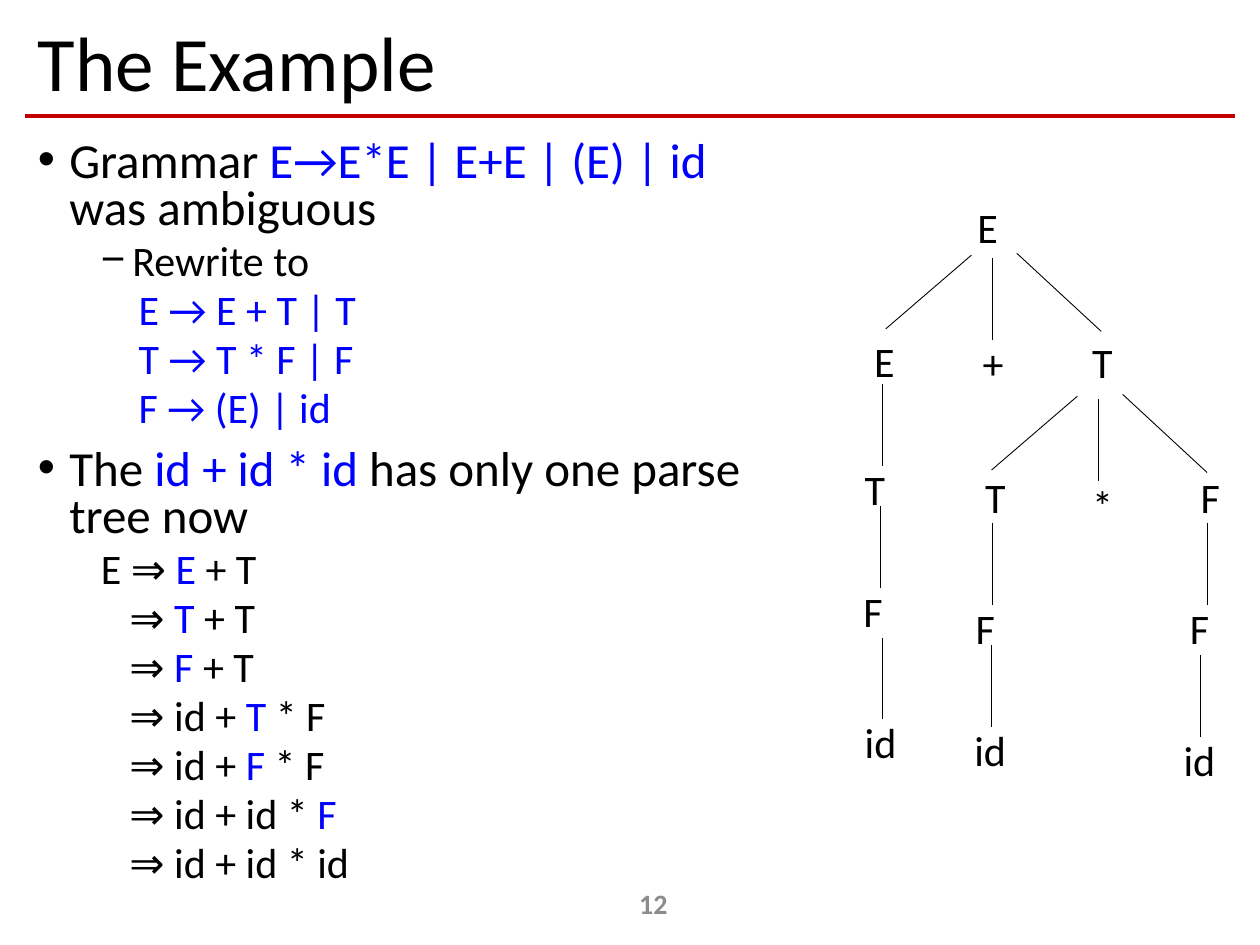
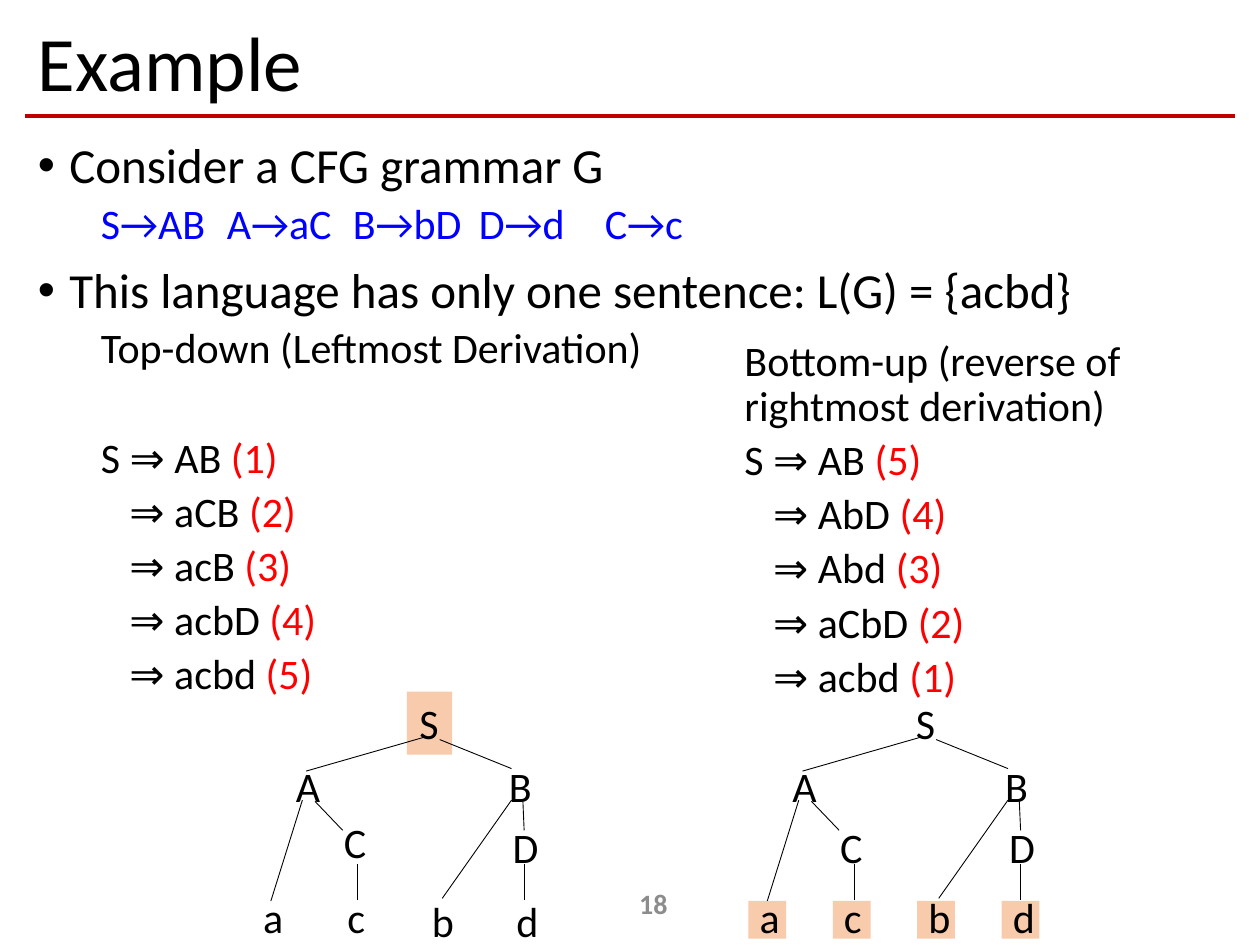
from dataclasses import dataclass

from lxml.etree import SubElement
from pptx import Presentation
from pptx.dml.color import RGBColor
from pptx.enum.shapes import MSO_CONNECTOR, MSO_SHAPE
from pptx.enum.text import MSO_ANCHOR, MSO_AUTO_SIZE, PP_ALIGN
from pptx.oxml.ns import qn
from pptx.util import Inches, Pt


@dataclass(frozen=True)
class Theme:
    """Colours, font and type sizes shared by the slides."""
    font: str = "Calibri"
    ink: str = "000000"
    rule: str = "C00000"
    blue: str = "0000FF"
    red: str = "FF0000"
    grey: str = "8C8C8C"
    peach: str = "F8CBAD"
    title: int = 44
    text: int = 28
    sub: int = 24
    number: int = 16


@dataclass(frozen=True)
class Style:
    """Paragraph style; indents are in grid cells."""
    level: int = 1
    left: float = 5
    first: float = 0
    size: int = Theme.sub
    before: float = 5
    bullet: str = ""
    tabs: tuple = ()


T = Theme()
COLS, ROWS = 100, 75          # grid of square cells
CELL = Inches(10) / COLS

POINT = Style(0, 2.5, -2.5, T.text, 10, "•")
DASH = Style(left=7.5, first=-2.5, bullet="−")
SUB = Style()
RULE = Style(left=8)
STEP = Style(left=7.27)       # lines up with the arrow of the line above
APART = Style(before=37)
TABBED = Style(left=0, first=5, tabs=(15, 35, 55, 75))

NODE_WIDTH = dict(E=3.7, T=3.7, F=3.6, id=4.6, S=3.6, A=4, B=4, C=3.8, D=4.1,
                  a=3.6, b=3.8, c=3.4, d=3.8)
NODE_HEIGHT = 5


def grid(*cells):
    """Turn grid cells into slide lengths."""
    return [round(n * CELL) for n in cells]


def rgb(code):
    """Make a colour from its hex code."""
    return RGBColor.from_string(code)


def style_run(r, size, color=T.ink, bold=False):
    """Set the font of one run."""
    r.font.name, r.font.size, r.font.bold = T.font, Pt(size), bold
    r.font.color.rgb = rgb(color)


def move(shape, *box):
    """Put a shape at left, top, width, height in grid cells."""
    shape.left, shape.top, shape.width, shape.height = grid(*box)


def style_paragraph(p, style, spacing):
    """Apply level, spacing, indents, bullet and tab stops."""
    p.level, p.line_spacing, p.space_before = style.level, spacing, Pt(style.before)
    p.space_after = Pt(0)
    p.alignment = PP_ALIGN.LEFT
    pPr = p._p.get_or_add_pPr()
    left, first = grid(style.left, style.first)
    pPr.set("marL", str(left))
    pPr.set("indent", str(first))
    if style.bullet:
        SubElement(pPr, qn("a:buFont"), typeface="Arial")
        SubElement(pPr, qn("a:buChar"), char=style.bullet)
    else:
        SubElement(pPr, qn("a:buNone"))
    if style.tabs:
        tab_list = SubElement(pPr, qn("a:tabLst"))
        for stop in grid(*style.tabs):
            SubElement(tab_list, qn("a:tab"), pos=str(stop), algn="l")


def fill_text(tf, lines, accent, spacing):
    """Write lines of (style, parts); every second part has the accent colour."""
    tf.word_wrap, tf.auto_size = True, MSO_AUTO_SIZE.NONE
    tf.vertical_anchor = MSO_ANCHOR.TOP
    for i, (style, *parts) in enumerate(lines):
        p = tf.add_paragraph() if i else tf.paragraphs[0]
        style_paragraph(p, style, spacing)
        for j, part in enumerate(parts):
            if part:
                r = p.add_run()
                r.text = part
                style_run(r, style.size, accent if j % 2 else T.ink)


def line(s, x1, y1, x2, y2, color=T.ink, width=0.5):
    """Draw a straight line between two grid points."""
    c = s.shapes.add_connector(MSO_CONNECTOR.STRAIGHT, *grid(x1, y1, x2, y2))
    c.line.color.rgb, c.line.width = rgb(color), Pt(width)
    SubElement(c._element.spPr, qn("a:effectLst"))


def block(s, x, y, w, h):
    """Draw a plain highlight."""
    sp = s.shapes.add_shape(MSO_SHAPE.RECTANGLE, *grid(x, y, w, h))
    sp.shadow.inherit = False
    sp.fill.solid()
    sp.fill.fore_color.rgb = rgb(T.peach)
    sp.line.fill.background()


def node(s, label, x, y, marked=False):
    """Write the label of a tree node."""
    sp = s.shapes.add_textbox(*grid(x, y, NODE_WIDTH.get(label, 3.7), NODE_HEIGHT))
    if marked:
        sp.fill.solid()
        sp.fill.fore_color.rgb = rgb(T.peach)
    tf = sp.text_frame
    tf.text = label
    tf.word_wrap, tf.auto_size = False, MSO_AUTO_SIZE.SHAPE_TO_FIT_TEXT
    style_run(tf.paragraphs[0].runs[0], T.sub)


def fan(s, x, y):
    """Draw three branches around the middle branch, which starts at x, y."""
    line(s, x - 1.7, y - 0.25, x - 8.5, y + 5.6)
    line(s, x + 1.9, y - 0.4, x + 8.6, y + 5.8)
    line(s, x, y, x, y + 6.5)


def link(s, label, x, y):
    """Draw one downward branch with its child."""
    line(s, x, y, x, y + 6.5)
    node(s, label, x - 2.35, y + 5.8)


def base_slide(prs, title, number, body_box):
    """Add a slide with title, rule and number; return it and its body text."""
    s = prs.slides.add_slide(prs.slide_layouts[1])
    line(s, 2, 9.2, COLS - 2, 9.2, T.rule, 2.5)
    head, body = s.shapes.title, s.placeholders[1]
    move(head, 2, 1.3, 96.1, 7.9)
    tf = head.text_frame
    tf.text = title
    tf.vertical_anchor, tf.auto_size = MSO_ANCHOR.MIDDLE, MSO_AUTO_SIZE.NONE
    p = tf.paragraphs[0]
    p.alignment, p.line_spacing = PP_ALIGN.LEFT, 0.9
    style_run(p.runs[0], T.title)
    move(body, *body_box)
    tf = s.shapes.add_textbox(*grid(40.6, 69.7, 22.5, 4)).text_frame
    tf.text = number
    tf.word_wrap, tf.vertical_anchor = True, MSO_ANCHOR.MIDDLE
    tf.paragraphs[0].alignment = PP_ALIGN.CENTER
    style_run(tf.paragraphs[0].runs[0], T.number, T.grey, True)
    return s, body.text_frame


def parse_tree_slide(prs):
    """Build the slide on the rewritten grammar and its parse tree."""
    s, tf = base_slide(prs, "The Example", "12", (2, 10.7, 60.1, 63))
    fill_text(tf, [
        (POINT, "Grammar ", "E→E*E | E+E | (E) | id ", "was ambiguous"),
        (DASH, "Rewrite to"),
        (RULE, "", "E → E + T | T"),
        (RULE, "", "T → T * F | F"),
        (RULE, "", "F → (E) | id"),
        (POINT, "The ", "id + id * id ", "has only one parse tree now"),
        (SUB, "E ⇒ ", "E", " + T"),
        (STEP, "⇒ ", "T", " + T"),
        (STEP, "⇒ ", "F", " + T"),
        (STEP, "⇒ id + ", "T", " * F"),
        (STEP, "⇒ id + ", "F", " * F"),
        (STEP, "⇒ id + id * ", "F"),
        (STEP, "⇒ id + id * id"),
    ], T.blue, 0.8)
    for label, x, y in (("E", 76.6, 15.5), ("E", 68.4, 26.1), ("+", 77, 26.3),
                        ("T", 85.7, 26.2), ("T", 77.2, 36.9), ("*", 85.7, 37.6),
                        ("F", 94.3, 36.9)):
        node(s, label, x, y)
    fan(s, 78.8, 20.5)
    fan(s, 87.2, 31.7)
    for label, x, y in (("T", 70, 30.5), ("F", 69.9, 40.2), ("id", 70, 50.6),
                        ("F", 78.8, 41.5), ("id", 78.7, 51.2),
                        ("F", 95.8, 41.5), ("id", 95.3, 52)):
        link(s, label, x, y)


def derivation_tree(s, x, marked, lowered):
    """Draw the tree of acbd from x; lowered holds tops that differ."""
    leaves = [(label, 6.7 * i, 70.3) for i, label in enumerate("acbd")]
    if "a" in marked:
        for _, dx, _ in leaves:
            block(s, x + dx + 0.1, 71.5, 3, 3)
    inner = [("C", 6.4, 64.7), ("D", 19.8, 64.7), ("A", 2.6, 59.9),
             ("B", 19.5, 59.9), ("S", 12.4, 54.9)]
    for label, dx, y in leaves + inner:
        node(s, label, x + dx, lowered.get(label, y), label == "S" and "S" in marked)
    for x1, y1, x2, y2 in ((13.8, 58.5, 4.4, 61.2), (15, 58.7, 20.7, 61),
                           (5.1, 63.6, 7.3, 65.9), (4.1, 63.5, 1.6, 71.5),
                           (20.7, 63.5, 15.2, 71.3), (21.6, 63.6, 21.7, 65.9),
                           (8.5, 68.6, 8.5, 71.4), (21.7, 68.6, 21.7, 71.4)):
        line(s, x + x1, y1, x + x2, y2)


def derivation_slide(prs):
    """Build the slide that sets both derivations side by side."""
    s, tf = base_slide(prs, "Example", "18", (2, 10.7, 96.1, 56.8))
    fill_text(tf, [
        (POINT, "Consider a CFG grammar G"),
        (TABBED, "", "S→AB\tA→aC\tB→bD\tD→d\tC→c"),
        (POINT, "This language has only one sentence: L(G) = {acbd}"),
        (SUB, "Top-down (Leftmost Derivation)"),
        (APART, "S ⇒ AB", " (1)"),
        (STEP, "⇒ aCB ", "(2)"),
        (STEP, "⇒ acB ", "(3)"),
        (STEP, "⇒ acbD", " (4)"),
        (STEP, "⇒ acbd ", "(5)"),
    ], T.red, 0.9)
    tf.paragraphs[1].runs[0].font.color.rgb = rgb(T.blue)
    right = s.shapes.add_textbox(*grid(53.1, 26.5, 44.9, 31.5))
    fill_text(right.text_frame, [
        (SUB, "Bottom-up (reverse of rightmost derivation)"),
        (SUB, "S ⇒ AB ", "(5)"),
        (STEP, "⇒ AbD ", "(4)"),
        (STEP, "⇒ Abd ", "(3)"),
        (STEP, "⇒ aCbD ", "(2)"),
        (STEP, "⇒ acbd ", "(1)"),
    ], T.red, 0.9)
    derivation_tree(s, 59.3, "acbd", {})
    derivation_tree(s, 19.9, "S", dict(C=64.3, b=70.6, d=70.6))


def main():
    """Build and save the presentation."""
    prs = Presentation()
    prs.slide_width, prs.slide_height = grid(COLS, ROWS)
    parse_tree_slide(prs)
    derivation_slide(prs)
    prs.save("out.pptx")


main()
